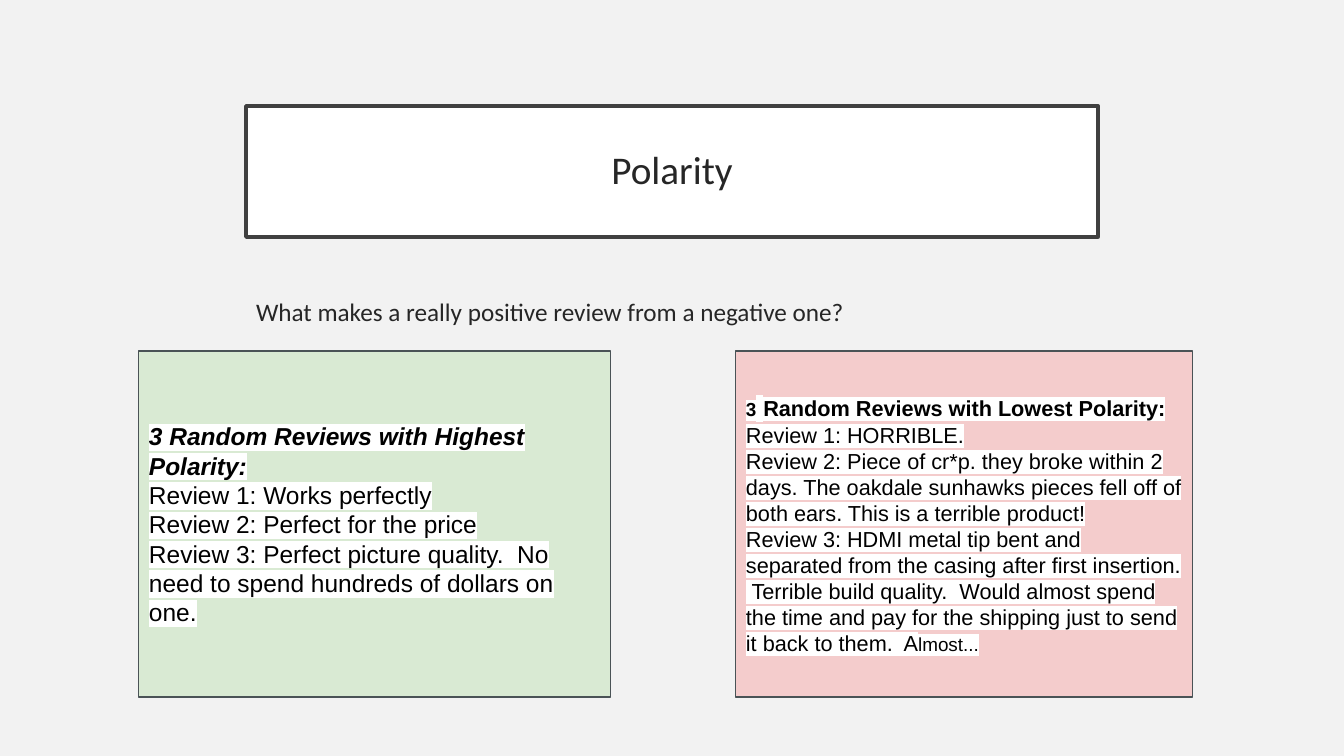
from lxml import etree
from pptx import Presentation
from pptx.dml.color import RGBColor
from pptx.enum.shapes import MSO_SHAPE
from pptx.enum.text import MSO_ANCHOR, PP_ALIGN
from pptx.oxml.ns import qn
from pptx.util import Emu, Pt

RECTANGLE = MSO_SHAPE.RECTANGLE
TOP, MIDDLE = MSO_ANCHOR.TOP, MSO_ANCHOR.MIDDLE
LEFT, CENTER = PP_ALIGN.LEFT, PP_ALIGN.CENTER

SLIDE_W, SLIDE_H = 1344, 756
EMU_PER_PX = 12192000 / SLIDE_W

COLORS = {
    "background": "F2F2F2",
    "white": "FFFFFF",
    "title_border": "404040",
    "heading": "262626",
    "positive": "D9EAD3",
    "negative": "F4CCCC",
    "card_border": "4A5356",
    "review": "000000",
}


def px(length):
    return Emu(round(length * EMU_PER_PX))


def rgb(name):
    return RGBColor.from_string(COLORS[name])


class SlideBuilder:
    """Holds the text style and the current slide."""

    def __init__(self, slide):
        self.slide = slide
        self.set_style("Calibri", "heading")

    def set_style(self, font, color, highlight=None):
        self.font, self.color, self.highlight = font, color, highlight

    def background(self, color):
        fill = self.slide.background.fill
        fill.solid()
        fill.fore_color.rgb = rgb(color)

    def box(self, area, fill, border, border_pt):
        shape = self.slide.shapes.add_shape(RECTANGLE, *map(px, area))
        shape.shadow.inherit = False
        shape.fill.solid()
        shape.fill.fore_color.rgb = rgb(fill)
        shape.line.color.rgb = rgb(border)
        shape.line.width = Pt(border_pt)
        return shape

    def text_box(self, area):
        return self.slide.shapes.add_textbox(*map(px, area))

    def add_text(self, shape, paragraphs, inset_x=10, inset_y=10, anchor=MIDDLE,
                 align=LEFT, line_spacing=1.0, space_before=0):
        """Each paragraph is a list of (text, size, bold, italic) runs."""
        frame = shape.text_frame
        frame.word_wrap = True
        frame.vertical_anchor = anchor
        frame.margin_left = frame.margin_right = px(inset_x)
        frame.margin_top = frame.margin_bottom = px(inset_y)
        for index, runs in enumerate(paragraphs):
            paragraph = frame.add_paragraph() if index else frame.paragraphs[0]
            paragraph.alignment = align
            paragraph.line_spacing = line_spacing
            paragraph.space_before = Pt(space_before)
            for run in runs:
                self.add_run(paragraph, *run)

    def add_run(self, paragraph, text, size, bold=False, italic=False):
        run = paragraph.add_run()
        run.text = text
        font = run.font
        font.name, font.size = self.font, Pt(size)
        font.bold, font.italic = bold, italic
        font.color.rgb = rgb(self.color)
        if self.highlight:
            # The highlight element must directly follow the text fill
            highlight = etree.Element(qn("a:highlight"))
            etree.SubElement(highlight, qn("a:srgbClr"), val=COLORS[self.highlight])
            run._r.rPr.find(qn("a:solidFill")).addnext(highlight)


def main():
    deck = Presentation()
    deck.slide_width, deck.slide_height = px(SLIDE_W), px(SLIDE_H)
    page = SlideBuilder(deck.slides.add_slide(deck.slide_layouts[6]))
    page.background("background")

    # Title and question share one column
    column_x, column_w = 246, 852
    title = page.box((column_x, 106, column_w, 131), "white", "title_border", 2.5)
    page.add_text(title, [[("Polarity", 28)]], inset_x=20, inset_y=20,
                  align=CENTER, line_spacing=0.9)
    question = page.text_box((column_x, 291, column_w, 59))
    page.add_text(question, [[("What makes a really positive review from a negative one?", 18)]],
                  inset_y=5, anchor=TOP, space_before=10)

    # Review cards
    high, low, small = 17.5, 15.5, 13.5
    highest_reviews = [
        [("3 Random Reviews with Highest Polarity:", high, True, True)],
        [("Review 1: Works perfectly", high)],
        [("Review 2: Perfect for the price", high)],
        [("Review 3: Perfect picture quality.  No need to spend hundreds "
          "of dollars on one.", high)],
    ]
    lowest_reviews = [
        [("3", small, True), (" ", high, True),
         ("Random Reviews with Lowest Polarity:", low, True)],
        [("Review 1: HORRIBLE.", low)],
        [("Review 2: Piece of cr*p. they broke within 2 days. The oakdale "
          "sunhawks pieces fell off of both ears. This is a terrible product!", low)],
        [("Review 3: HDMI metal tip bent and separated from the casing after "
          "first insertion.  Terrible build quality.  Would almost spend the "
          "time and pay for the shipping just to send it back to them.  A", low),
         ("lmost...", small)],
    ]
    page.set_style("Arial", "review", highlight="white")
    for left, width, fill, reviews in (
        (139, 472, "positive", highest_reviews),
        (736, 457, "negative", lowest_reviews),
    ):
        card = page.box((left, 351, width, 346), fill, "card_border", 0.75)
        page.add_text(card, reviews)

    deck.save("out.pptx")


if __name__ == "__main__":
    main()
